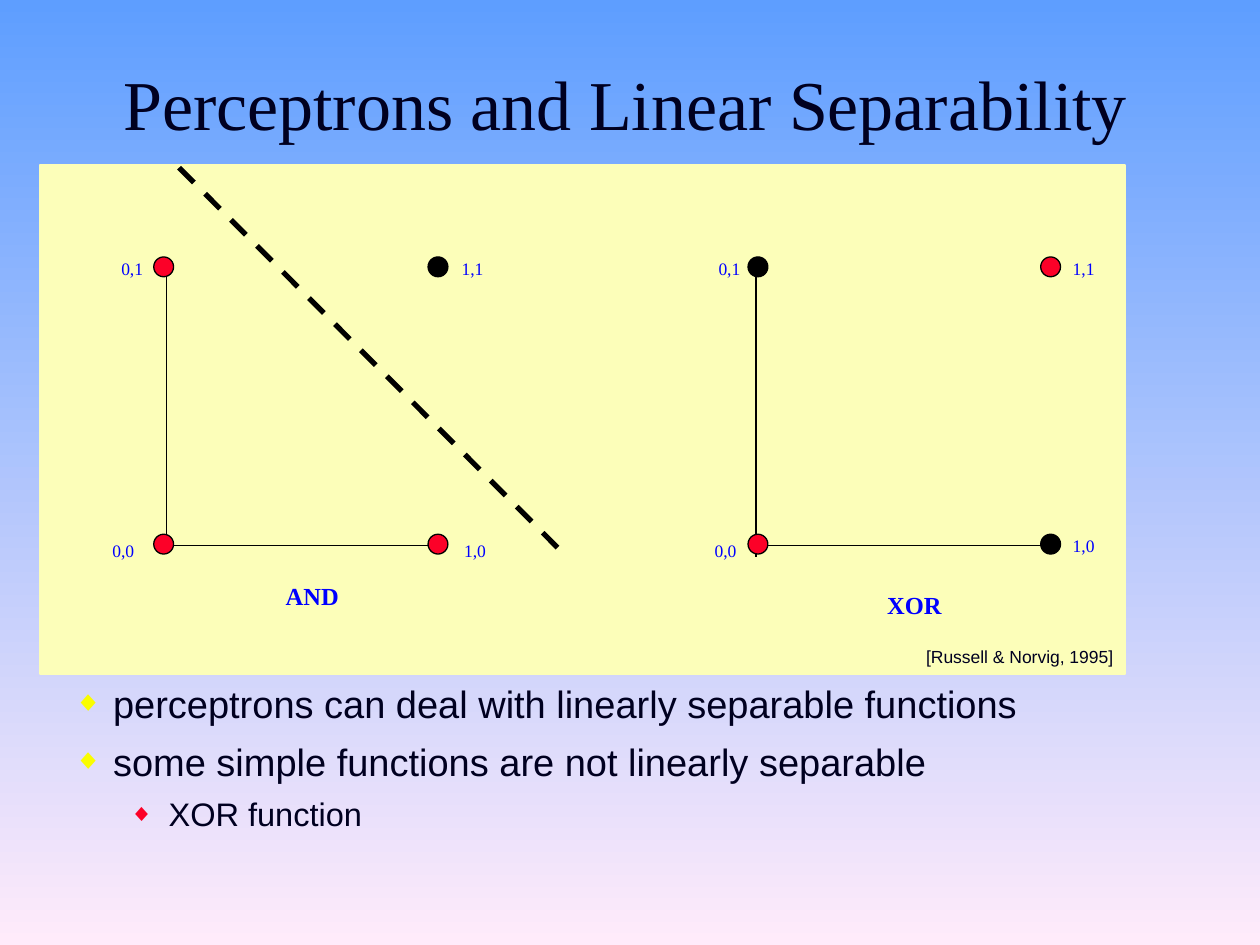
from lxml import etree
from pptx import Presentation
from pptx.dml.color import RGBColor
from pptx.enum.dml import MSO_LINE
from pptx.enum.shapes import MSO_CONNECTOR, MSO_SHAPE
from pptx.enum.text import MSO_ANCHOR, PP_ALIGN
from pptx.oxml.ns import qn
from pptx.util import Cm, Pt

RECT, OVAL = MSO_SHAPE.RECTANGLE, MSO_SHAPE.OVAL
STRAIGHT, DASH = MSO_CONNECTOR.STRAIGHT, MSO_LINE.DASH
LEFT, CENTER = PP_ALIGN.LEFT, PP_ALIGN.CENTER
TOP, MIDDLE = MSO_ANCHOR.TOP, MSO_ANCHOR.MIDDLE

COLORS = {"sky": "5E9EFF", "pink": "FFEBFA", "panel": "FCFEB9", "ink": "000020",
          "blue": "0000FF", "red": "FC0128", "yellow": "FAFD00", "black": "000000"}
SERIF, SANS = "Times New Roman", "Arial"
FORMATS = {
    "title": {"name": SERIF, "size": Pt(40), "color": "ink"},
    "cite": {"name": SANS, "size": Pt(10), "color": "ink"},
    "point": {"name": SERIF, "size": Pt(10), "color": "blue"},
    "gate": {"name": SERIF, "size": Pt(14), "bold": True, "color": "blue"},
    "bullet": {"name": SANS, "size": Pt(21.7), "color": "ink"},
    "sub": {"name": SANS, "size": Pt(18.6), "color": "ink"},
}

DOT = 0.4
TOP_Y, BOTTOM_Y, AXIS_Y = 5.38, 10.97, 11
GATES = [
    {"name": "AND", "caption": (4.29, 11.58), "axis": (3.35, 5.26, 10.95), "end": 8.74,
     "points": [("0,1", 3.3, TOP_Y, "red", 1.65, 5.08),
                ("1,1", 8.83, TOP_Y, "black", 8.51, 5.08),
                ("1,0", 8.83, BOTTOM_Y, "red", 8.56, 10.77),
                ("0,0", 3.3, BOTTOM_Y, "red", 1.47, 10.77)]},
    {"name": "XOR", "caption": (16.43, 11.76), "axis": (15.24, 5.51, 11.23), "end": 21.16,
     "points": [("0,1", 15.28, TOP_Y, "black", 13.69, 5.08),
                ("1,1", 21.18, TOP_Y, "red", 20.83, 5.08),
                ("1,0", 21.18, BOTTOM_Y, "black", 20.83, 10.67),
                ("0,0", 15.28, BOTTOM_Y, "red", 13.61, 10.77)]},
]
BULLETS = [
    ("perceptrons can deal with linearly separable functions", 0, "bullet", "yellow", 0.79, 0),
    ("some simple functions are not linearly separable", 0, "bullet", "yellow", 0.79, 7),
    ("XOR function", 1, "sub", "red", 1.91, 6),
]


def rgb(key):
    return RGBColor.from_string(COLORS[key])


def set_background(s):
    fill = s.background.fill
    fill.gradient()
    fill.gradient_angle = 270
    for stop, key in zip(fill.gradient_stops, ("sky", "pink")):
        stop.color.rgb = rgb(key)


def add_run(p, text, style):
    r = p.add_run()
    r.text = text
    for attr, value in FORMATS[style].items():
        if attr == "color":
            r.font.color.rgb = rgb(value)
        else:
            setattr(r.font, attr, value)


def add_frame(s, x, y, w, h, anchor=TOP, wrap=True):
    tf = s.shapes.add_textbox(Cm(x), Cm(y), Cm(w), Cm(h)).text_frame
    tf.word_wrap = wrap
    tf.vertical_anchor = anchor
    return tf


def add_label(s, text, style, x, y, w, h, align=CENTER, anchor=TOP, wrap=True):
    p = add_frame(s, x, y, w, h, anchor, wrap).paragraphs[0]
    p.alignment = align
    add_run(p, text, style)


def add_solid(s, kind, x, y, w, h, fill, line, weight):
    sp = s.shapes.add_shape(kind, Cm(x), Cm(y), Cm(w), Cm(h))
    sp.shadow.inherit = False
    sp.fill.solid()
    sp.fill.fore_color.rgb = rgb(fill)
    sp.line.color.rgb = rgb(line)
    sp.line.width = Pt(weight)


def add_line(s, x1, y1, x2, y2, weight=0.75, dash=None):
    c = s.shapes.add_connector(STRAIGHT, Cm(x1), Cm(y1), Cm(x2), Cm(y2))
    c.line.color.rgb = rgb("black")
    c.line.width = Pt(weight)
    if dash is not None:
        c.line.dash_style = dash
    etree.SubElement(c._element.spPr, qn("a:effectLst"))


def add_gate(s, gate):
    x, top, bottom = gate["axis"]
    add_line(s, x, top, x, bottom)
    add_line(s, gate["end"], AXIS_Y, x, AXIS_Y)
    for text, cx, cy, color, label_x, label_y in gate["points"]:
        add_label(s, text, "point", label_x, label_y, 2.03, 1.18)
        add_solid(s, OVAL, cx - DOT / 2, cy - DOT / 2, DOT, DOT, color, "black", 0.75)
    add_label(s, gate["name"], "gate", *gate["caption"], 4.01, 1.35)


def set_bullet(p, color, indent):
    pPr = p._p.get_or_add_pPr()
    pPr.set("marL", str(Cm(indent)))
    pPr.set("indent", str(Cm(-0.79)))
    clr = etree.SubElement(pPr, qn("a:buClr"))
    etree.SubElement(clr, qn("a:srgbClr"), val=COLORS[color])
    etree.SubElement(pPr, qn("a:buSzPct"), val="75000")
    etree.SubElement(pPr, qn("a:buFont"), typeface=SANS)
    etree.SubElement(pPr, qn("a:buChar"), char="◆")


def add_bullets(s):
    tf = add_frame(s, 1.24, 13.59, 23.95, 3.35)
    for i, (text, level, style, color, indent, before) in enumerate(BULLETS):
        p = tf.add_paragraph() if i else tf.paragraphs[0]
        p.level = level
        set_bullet(p, color, indent)
        p.space_before = Pt(before)
        add_run(p, text, style)


def main():
    prs = Presentation()
    prs.slide_width, prs.slide_height = Cm(25.4), Cm(19.05)
    s = prs.slides.add_slide(prs.slide_layouts[6])
    set_background(s)
    add_solid(s, RECT, 0.81, 3.33, 21.87, 10.26, "panel", "panel", 1)
    add_label(s, "[Russell & Norvig, 1995]", "cite", 18.42, 12.9, 4.27, 0.69, LEFT, wrap=False)
    add_label(s, "Perceptrons and Linear Separability", "title",
              0.64, 0.94, 23.93, 2.24, anchor=MIDDLE)
    add_bullets(s)
    for gate in GATES:
        add_gate(s, gate)
    add_line(s, 3.61, 3.38, 11.33, 11.13, 3, DASH)
    prs.save("out.pptx")


if __name__ == "__main__":
    main()
